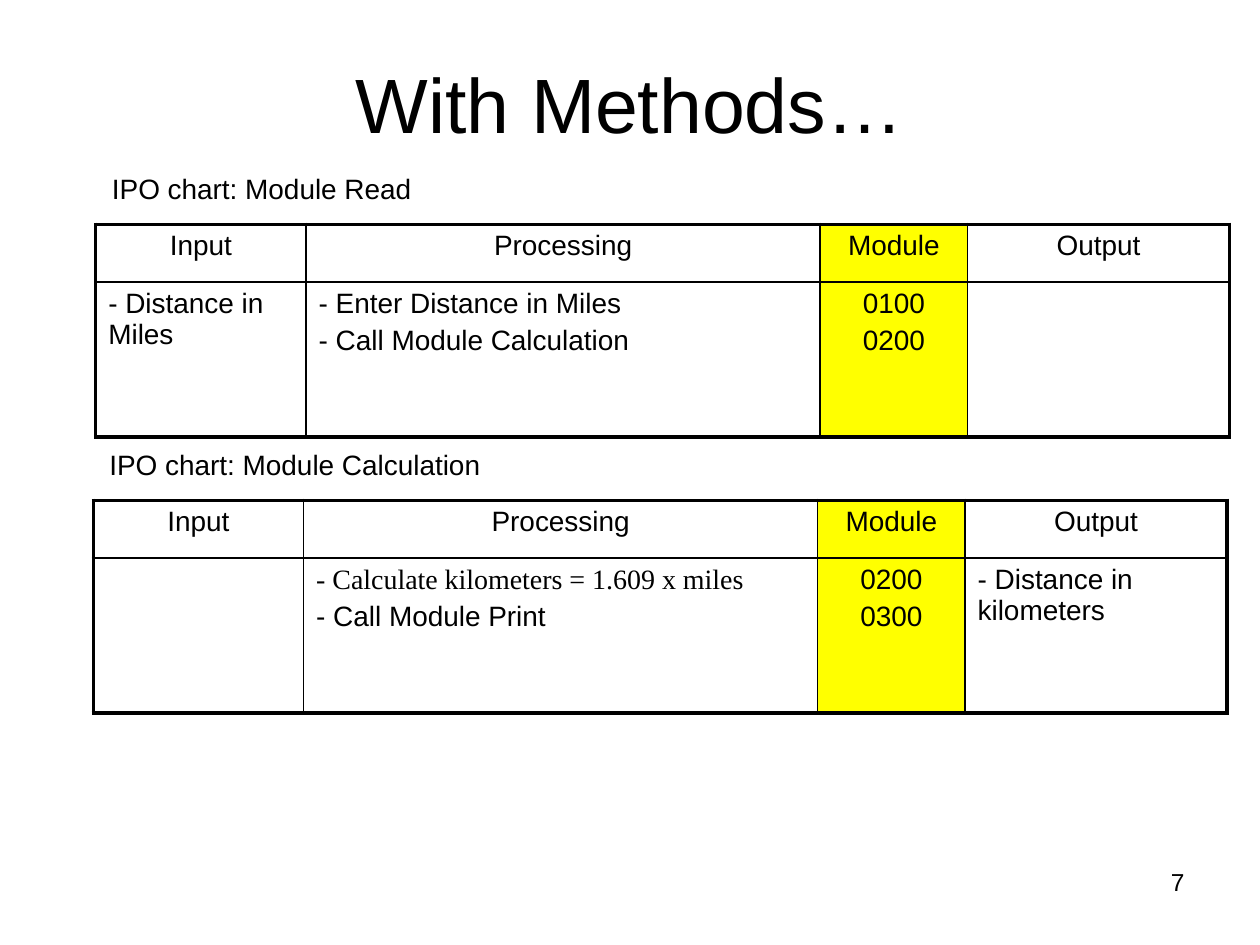
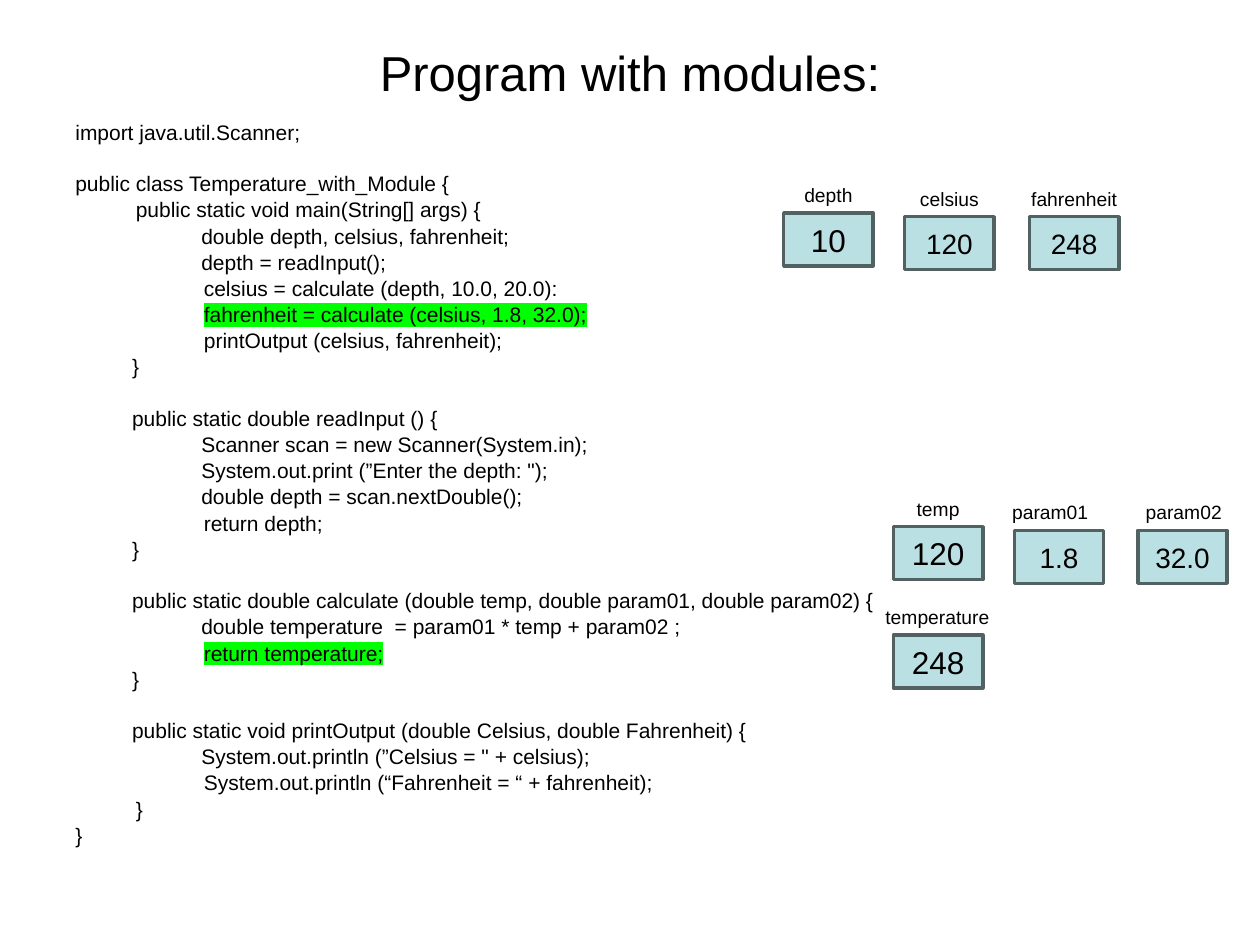
from pptx import Presentation
from pptx import util as u
from pptx.dml.color import RGBColor
from pptx.enum import shapes, text
from lxml import etree

# ---- Content ----
HEADS = ["Input", "Processing", "Module", "Output"]
COLS = [167, 408, 117, 208]
ROWS = [46, 123]
ARIAL, TIMES = "Arial", "Times New Roman"

# caption, table left, table top, body cells as lists of (line, font)
IPO_CHARTS = [
    ("IPO chart: Module Read", 76, 178, [
        [("- Distance in Miles", ARIAL)],
        [("- Enter Distance in Miles", ARIAL), ("- Call Module Calculation", ARIAL)],
        [("0100", ARIAL), ("0200", ARIAL)],
        []]),
    ("IPO chart: Module Calculation", 74, 397, [
        [],
        [("- Calculate kilometers = 1.609 x miles", TIMES), ("- Call Module Print", ARIAL)],
        [("0200", ARIAL), ("0300", ARIAL)],
        [("- Distance in kilometers", ARIAL)]]),
]

# blocks of (indent, code line), parted by one line's gap
CODE = [
    [(0, "import java.util.Scanner;")],
    [(0, "public class Temperature_with_Module {"),
     (48, "public static void main(String[] args) {"),
     (100, "double depth, celsius, fahrenheit;"),
     (100, "depth = readInput();"),
     (102, "celsius = calculate (depth, 10.0, 20.0):"),
     (102, "fahrenheit = calculate (celsius, 1.8, 32.0);"),
     (102, "printOutput (celsius, fahrenheit);"),
     (45, "}")],
    [(45, "public static double readInput () {"),
     (100, "Scanner scan = new Scanner(System.in);"),
     (100, "System.out.print (”Enter the depth: \");"),
     (100, "double depth = scan.nextDouble();"),
     (102, "return depth;"),
     (45, "}")],
    [(45, "public static double calculate (double temp, double param01, double param02) {"),
     (100, "double temperature  = param01 * temp + param02 ;"),
     (102, "return temperature;"),
     (45, "}")],
    [(45, "public static void printOutput (double Celsius, double Fahrenheit) {"),
     (100, "System.out.println (”Celsius = \" + celsius);"),
     (102, "System.out.println (“Fahrenheit = “ + fahrenheit);"),
     (48, "}"),
     (0, "}")],
]
ACTIVE = {"fahrenheit = calculate (celsius, 1.8, 32.0);", "return temperature;"}

# name, value, box left, box top, value size, label left, label width
VARIABLES = [
    ("depth", "10", 622, 169, 18, 622, 71),
    ("celsius", "120", 718, 172, 16, 718, 71),
    ("fahrenheit", "248", 817, 172, 16, 807, 91),
    ("temp", "120", 709, 418, 18, 709, 71),
    ("param01", "1.8", 805, 421, 16, 790, 87),
    ("param02", "32.0", 903, 421, 16, 894, 91),
    ("temperature", "248", 709, 504, 18, 690, 108),
]
BOX_W, BOX_H, LABEL_H = 71, 42, 29

# ---- Shared style ----
BLACK = RGBColor(0x00, 0x00, 0x00)
YELLOW = RGBColor(0xFF, 0xFF, 0x00)
GREEN = RGBColor(0x00, 0xFF, 0x00)
BOX_FILL = RGBColor(0xBB, 0xE0, 0xE3)
BOX_LINE = RGBColor(0x52, 0x62, 0x63)
LEFT, CENTER, RIGHT = text.PP_ALIGN.LEFT, text.PP_ALIGN.CENTER, text.PP_ALIGN.RIGHT
TOP, MIDDLE = text.MSO_ANCHOR.TOP, text.MSO_ANCHOR.MIDDLE
NS = "http://schemas.openxmlformats.org/drawingml/2006/main"
THIN, THICK = 1, 2.25


def px(n):
    """100 px to the inch."""
    return u.Emu(n * 9144)


def add_run(p, words, size, font=ARIAL, align=LEFT):
    p.alignment = align
    r = p.add_run()
    r.text = words
    r.font.size, r.font.name = u.Pt(size), font
    r.font.color.rgb = BLACK
    return r


def next_paragraph(tf, i):
    return tf.paragraphs[0] if i == 0 else tf.add_paragraph()


def add_box(s, x, y, w, h, anchor=TOP, wrap=True):
    tf = s.shapes.add_textbox(px(x), px(y), px(w), px(h)).text_frame
    tf.word_wrap, tf.vertical_anchor = wrap, anchor
    return tf


def add_title(s, words, h, size):
    add_run(add_box(s, 50, 30, 900, h, MIDDLE).paragraphs[0], words, size, align=CENTER)


def highlight(r, color):
    mark = etree.Element(f"{{{NS}}}highlight")
    etree.SubElement(mark, f"{{{NS}}}srgbClr", val=str(color))
    r.font._element.find(f"{{{NS}}}solidFill").addnext(mark)


def set_borders(cell, widths):
    """widths: left, right, top, bottom in points."""
    tcPr = cell._tc.get_or_add_tcPr()
    for i, (side, pt) in enumerate(zip("LRTB", widths)):
        ln = etree.Element(f"{{{NS}}}ln{side}", w=str(int(u.Pt(pt))))
        fill = etree.SubElement(ln, f"{{{NS}}}solidFill")
        etree.SubElement(fill, f"{{{NS}}}srgbClr", val=str(BLACK))
        tcPr.insert(i, ln)


def add_ipo_chart(s, caption, x, y, body):
    tbl = s.shapes.add_table(len(ROWS), len(COLS), px(x), px(y),
                             px(sum(COLS)), px(sum(ROWS))).table
    tbl.first_row = tbl.horz_banding = False
    for col, w in zip(tbl.columns, COLS):
        col.width = px(w)
    for row, h in zip(tbl.rows, ROWS):
        row.height = px(h)
    grid = [[[(head, ARIAL)] for head in HEADS], body]
    for i, row in enumerate(grid):
        for j, lines in enumerate(row):
            cell = tbl.cell(i, j)
            is_module = HEADS[j] == "Module"
            if is_module:
                cell.fill.solid()
                cell.fill.fore_color.rgb = YELLOW
            else:
                cell.fill.background()
            edges = (j == 0, j == len(COLS) - 1, i == 0, i == len(ROWS) - 1)
            set_borders(cell, [THICK if edge else THIN for edge in edges])
            for k, (words, font) in enumerate(lines):
                p = next_paragraph(cell.text_frame, k)
                p.space_before = u.Pt(3 if k else 0)
                add_run(p, words, 16, font, CENTER if i == 0 or is_module else LEFT)
    tf = add_box(s, x + 3, y - 47, 318, 37, wrap=False)
    add_run(tf.paragraphs[0], caption, 16)


def add_code(s):
    tf = add_box(s, 50, 92, 900, 582)
    count = 0
    for b, block in enumerate(CODE):
        for k, (indent, line) in enumerate(block):
            p = next_paragraph(tf, count)
            count += 1
            p.line_spacing = 0.9
            p.space_before = u.Pt(16.4 if b and k == 0 else 2)
            r = add_run(p, line, 12)
            p._p.get_or_add_pPr().set("marL", str(int(px(indent))))
            if line in ACTIVE:
                highlight(r, GREEN)


def add_variable(s, name, value, x, y, size, label_x, label_w):
    sp = s.shapes.add_shape(shapes.MSO_SHAPE.RECTANGLE, px(x), px(y), px(BOX_W), px(BOX_H))
    sp.shadow.inherit = False
    sp.fill.solid()
    sp.fill.fore_color.rgb = BOX_FILL
    sp.line.color.rgb, sp.line.width = BOX_LINE, u.Pt(2)
    sp.text_frame.vertical_anchor = MIDDLE
    add_run(sp.text_frame.paragraphs[0], value, size, align=CENTER)
    label = add_box(s, label_x, y - LABEL_H, label_w, LABEL_H, MIDDLE)
    add_run(label.paragraphs[0], name, 11, align=CENTER)


def main():
    prs = Presentation()
    prs.slide_width, prs.slide_height = px(1000), px(750)
    blank = prs.slide_layouts[6]

    # IPO charts
    s = prs.slides.add_slide(blank)
    add_title(s, "With Methods…", 103, 44)
    for chart in IPO_CHARTS:
        add_ipo_chart(s, *chart)
    add_run(add_box(s, 717, 683, 233, 52).paragraphs[0], "7", 14, align=RIGHT)

    # Program listing with its variables
    s = prs.slides.add_slide(blank)
    add_code(s)
    add_title(s, "Program with modules:", 54, 28)
    for variable in VARIABLES:
        add_variable(s, *variable)

    prs.save("out.pptx")


if __name__ == "__main__":
    main()
